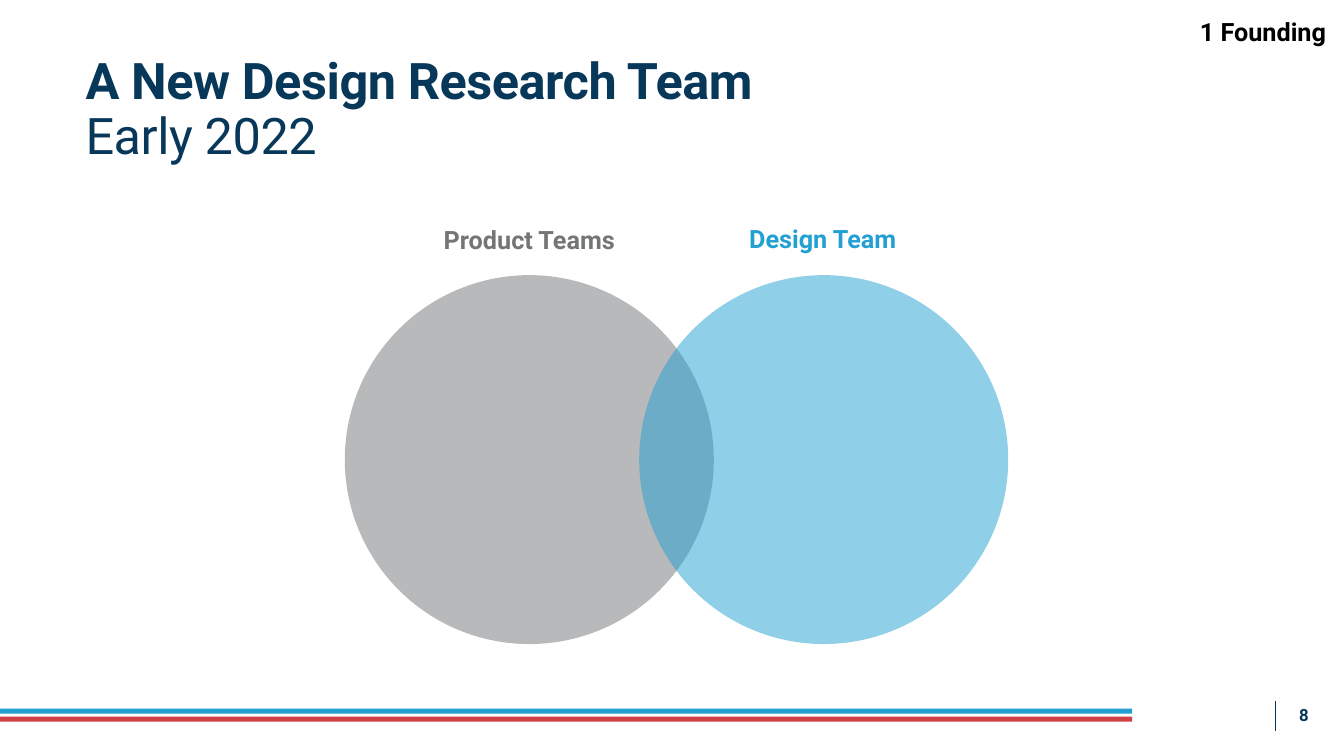
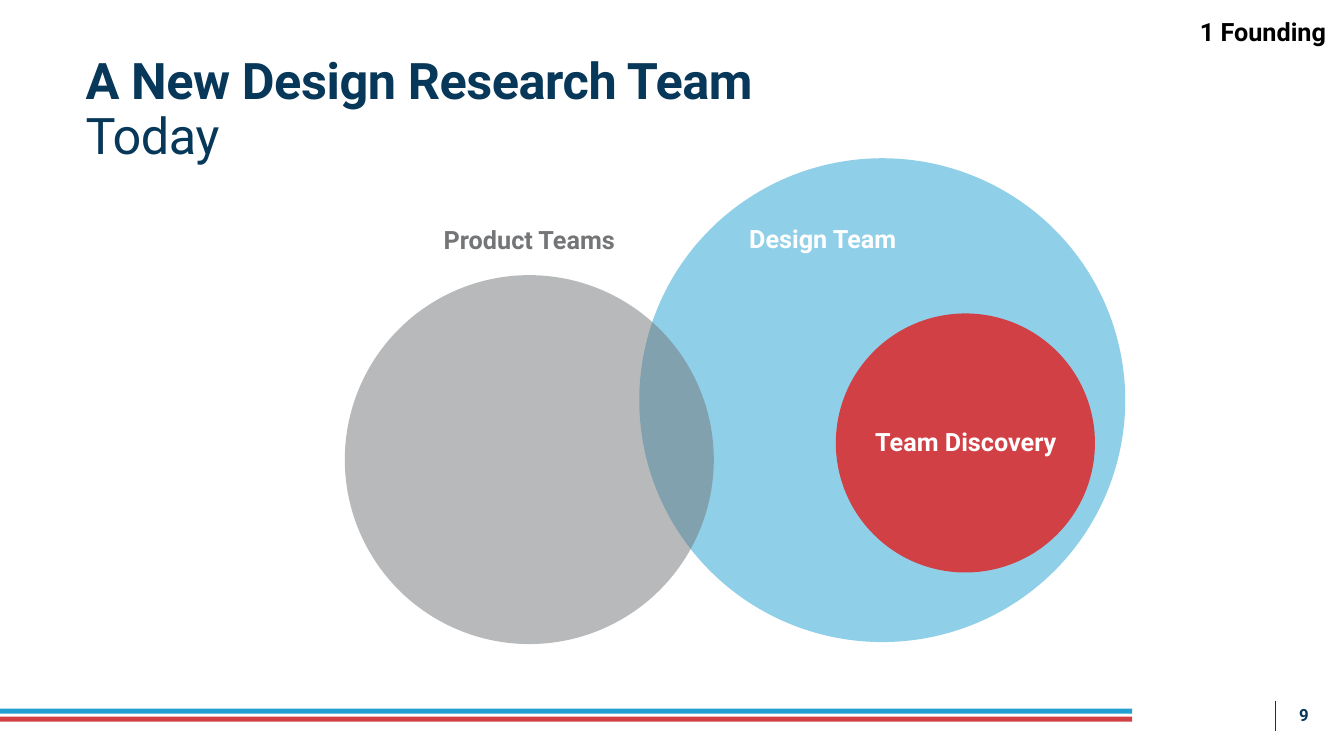
from pptx import Presentation
from pptx.dml.color import RGBColor
from pptx.enum.shapes import MSO_CONNECTOR as Connector, MSO_SHAPE as Shape
from pptx.enum.text import MSO_ANCHOR as Anchor, PP_ALIGN as Align
from pptx.oxml.ns import qn
from pptx.util import Pt
from lxml import etree

# Shared look: 100 px to the inch
PX = 9144
FONT = "Roboto"
NAVY, BLUE, RED = "073759", "22A0D2", "D14045"
GREY, BLACK, WHITE = "737577", "000000", "FFFFFF"
HEADING = "A New Design Research Team"
SECTION = "1 Founding"
STRIPES = [(703, BLUE), (711, RED)]  # top, colour

# Content: circles are (box, colour, opacity %), labels are (box, text, colour)
PRODUCT_CIRCLE = ("circle", (342, 273, 366, 366), GREY, 50)
PRODUCT_LABEL = ("label", (421, 218, 208, 40), "Product Teams", GREY)
DESIGN_LABEL_BOX = (730, 217, 172, 40)

SLIDES = [
    {"number": 8, "subtitle": "Early 2022", "parts": [
        PRODUCT_LABEL,
        ("label", DESIGN_LABEL_BOX, "Design Team", BLUE),
        PRODUCT_CIRCLE,
        ("circle", (634, 273, 366, 366), BLUE, 50),
    ]},
    {"number": 9, "subtitle": "Today", "parts": [
        ("circle", (634, 157, 482, 480), BLUE, 50),
        PRODUCT_LABEL,
        PRODUCT_CIRCLE,
        ("circle", (829, 311, 257, 257), RED, 100),
        ("label", DESIGN_LABEL_BOX, "Design Team", WHITE),
        ("label", (856, 418, 204, 40), "Team Discovery", WHITE),
    ]},
]


def emu(lengths):
    return [length * PX for length in lengths]


def rgb(colour):
    return RGBColor.from_string(colour)


def style(font, size, colour, bold=True):
    font.name, font.size, font.bold = FONT, Pt(size), bold
    font.color.rgb = rgb(colour)


def add_filled(page, kind, box, colour, opacity=100):
    shape = page.shapes.add_shape(kind, *emu(box))
    shape.shadow.inherit = False
    shape.line.fill.background()
    shape.fill.solid()
    shape.fill.fore_color.rgb = rgb(colour)
    if opacity < 100:
        tint = shape.fill._xPr.find(qn("a:solidFill"))[0]
        etree.SubElement(tint, qn("a:alpha")).set("val", str(opacity * 1000))


def add_text(page, box, text, colour, size=18, align=Align.CENTER):
    frame = page.shapes.add_textbox(*emu(box)).text_frame
    frame.word_wrap = True
    para = frame.paragraphs[0]
    para.text = text
    para.alignment = align
    style(para.font, size, colour)
    return frame


def add_title(page, subtitle):
    frame = page.shapes.add_textbox(*emu((75, 51, 1192, 114))).text_frame
    frame.word_wrap = True
    para = frame.paragraphs[0]
    para.line_spacing = 0.9
    para.space_before = Pt(10)
    for text, bold in [(HEADING, True), (subtitle, False)]:
        if para.runs:
            para.add_line_break()
        span = para.add_run()
        span.text = text
        style(span.font, 36, NAVY, bold)
        span.font._element.set("spc", "-30")


def add_footer(page, number):
    for top, colour in STRIPES:
        add_filled(page, Shape.RECTANGLE, (0, top, 1123, 5), colour)
    divider = page.shapes.add_connector(
        Connector.STRAIGHT, *emu((1265, 695, 1265, 725)))
    divider.line.color.rgb = rgb(NAVY)
    divider.line.width = Pt(1)
    etree.SubElement(divider._element.spPr, qn("a:effectLst"))
    frame = add_text(page, (1267, 694, 31, 31), str(number), NAVY, 12, Align.RIGHT)
    frame.vertical_anchor = Anchor.MIDDLE
    frame.margin_left = frame.margin_right = 0
    frame.margin_top = frame.margin_bottom = 0


def main():
    deck = Presentation()
    deck.slide_width, deck.slide_height = emu((1333, 750))
    for content in SLIDES:
        page = deck.slides.add_slide(deck.slide_layouts[6])
        add_footer(page, content["number"])
        add_title(page, content["subtitle"])
        for kind, box, *details in content["parts"]:
            if kind == "circle":
                add_filled(page, Shape.OVAL, box, *details)
            else:
                add_text(page, box, *details)
        add_text(page, (1025, 11, 300, 40), SECTION, BLACK, align=Align.RIGHT)
    deck.save("out.pptx")


if __name__ == "__main__":
    main()
